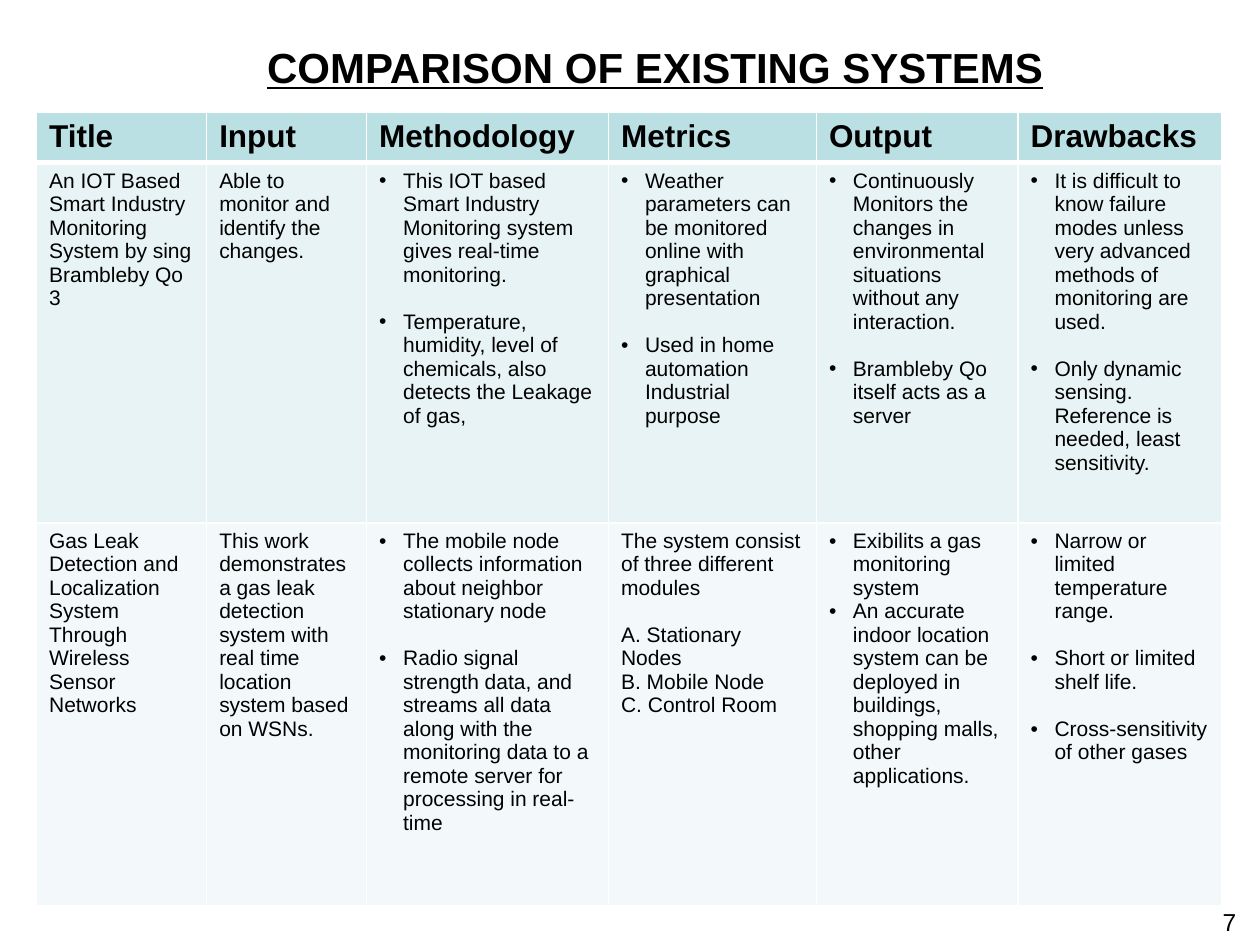
from dataclasses import dataclass
from pptx import Presentation
from pptx.dml.color import RGBColor
from pptx.enum.text import PP_ALIGN
from pptx.util import Inches, Pt
from lxml.etree import SubElement
from pptx.oxml.ns import qn


@dataclass
class Theme:
    font: str = "Arial"
    ink: str = "000000"
    rule: str = "FFFFFF"
    fills: tuple = ("BBE0E3", "E7F3F4", "F3F9FA")
    title: int = 24
    head: int = 18
    body: int = 12
    page: int = 14
    gap: float = 13.4
    hang: float = 0.19


theme = Theme()


def write(frame, lines, size=theme.body, bold=False, under=False,
          align=PP_ALIGN.LEFT, dots=False, gaps=()):
    frame.word_wrap = True
    for i, line in enumerate(lines):
        para = frame.paragraphs[0] if i == 0 else frame.add_paragraph()
        para.alignment = align
        para.space_before = Pt(theme.gap if i in gaps else 0)
        run = para.add_run()
        run.text = line
        font = run.font
        font.name, font.size, font.bold, font.underline = theme.font, Pt(size), bold, under
        font.color.rgb = RGBColor.from_string(theme.ink)
        if dots:
            props = para._p.get_or_add_pPr()
            props.set("marL", str(Inches(theme.hang)))
            props.set("indent", str(-Inches(theme.hang)))
            SubElement(props, qn("a:buFont"), typeface=theme.font)
            SubElement(props, qn("a:buChar"), char="•")


def edge(cell, sides):
    props = cell._tc.get_or_add_tcPr()
    for i, (side, width) in enumerate(sides.items()):
        line = props.makeelement(qn("a:ln" + side), {"w": str(Pt(width))})
        fill = SubElement(line, qn("a:solidFill"))
        SubElement(fill, qn("a:srgbClr"), val=theme.rule)
        props.insert(i, line)


plain = {}
dots = {"dots": True}
split = {"dots": True, "gaps": (1, 2)}
steps = {"gaps": (1,)}
head = {"size": theme.head, "bold": True}

names = ["Title", "Input", "Methodology", "Metrics", "Output", "Drawbacks"]
rows = [
    [([name], head) for name in names],
    [
        (["An IOT Based Smart Industry Monitoring System by sing Brambleby Qo 3"], plain),
        (["Able to monitor and identify the changes."], plain),
        (["This IOT based Smart Industry Monitoring system gives real-time monitoring.",
          "Temperature, humidity, level of chemicals, also detects the Leakage of gas,"], split),
        (["Weather parameters can be monitored online with graphical presentation",
          "Used in home automation Industrial purpose"], split),
        (["Continuously Monitors the changes in environmental situations without any interaction.",
          "Brambleby Qo itself acts as a server"], split),
        (["It is difficult to know failure modes unless very advanced methods of monitoring are used.",
          "Only dynamic sensing. Reference is needed, least sensitivity."], split),
    ],
    [
        (["Gas Leak Detection and Localization System Through Wireless Sensor Networks"], plain),
        (["This work demonstrates a gas leak detection system with real time location "
          "system based on WSNs."], plain),
        (["The mobile node collects information about neighbor stationary node",
          "Radio signal strength data, and streams all data along with the monitoring data "
          "to a remote server for processing in real-time"], split),
        (["The system consist of three different modules", "A. Stationary Nodes",
          "B. Mobile Node", "C. Control Room"], steps),
        (["Exibilits a gas monitoring system",
          "An accurate indoor location system can be deployed in buildings, shopping malls, "
          "other applications."], dots),
        (["Narrow or limited temperature range.", "Short or limited shelf life.",
          "Cross-sensitivity of other gases"], split),
    ],
]
wides = [1.35, 1.27, 1.92, 1.65, 1.6, 1.62]
highs = [0.39, 2.86, 3.04]

deck = Presentation()
deck.slide_width, deck.slide_height = Inches(10), Inches(7.5)
slide = deck.slides.add_slide(deck.slide_layouts[6])
shapes = slide.shapes

title = shapes.add_textbox(Inches(0.7), Inches(0.28), Inches(9), Inches(0.5))
write(title.text_frame, ["COMPARISON OF EXISTING SYSTEMS"], size=theme.title,
      bold=True, under=True, align=PP_ALIGN.CENTER)

page = shapes.add_textbox(Inches(7.58), Inches(7.15), Inches(2.33), Inches(0.34))
write(page.text_frame, ["7"], size=theme.page, align=PP_ALIGN.RIGHT)

grid = shapes.add_table(len(rows), len(wides), Inches(0.29), Inches(0.89),
                        Inches(sum(wides)), Inches(sum(highs))).table
for col, wide in zip(grid.columns, wides):
    col.width = Inches(wide)
for r, (row, high) in enumerate(zip(rows, highs)):
    grid.rows[r].height = Inches(high)
    for c, (lines, form) in enumerate(row):
        cell = grid.cell(r, c)
        cell.fill.solid()
        cell.fill.fore_color.rgb = RGBColor.from_string(theme.fills[r])
        edge(cell, {"L": 1, "R": 1, "T": 3 if r == 1 else 1, "B": 3 if r == 0 else 1})
        write(cell.text_frame, lines, **form)

deck.save("out.pptx")
